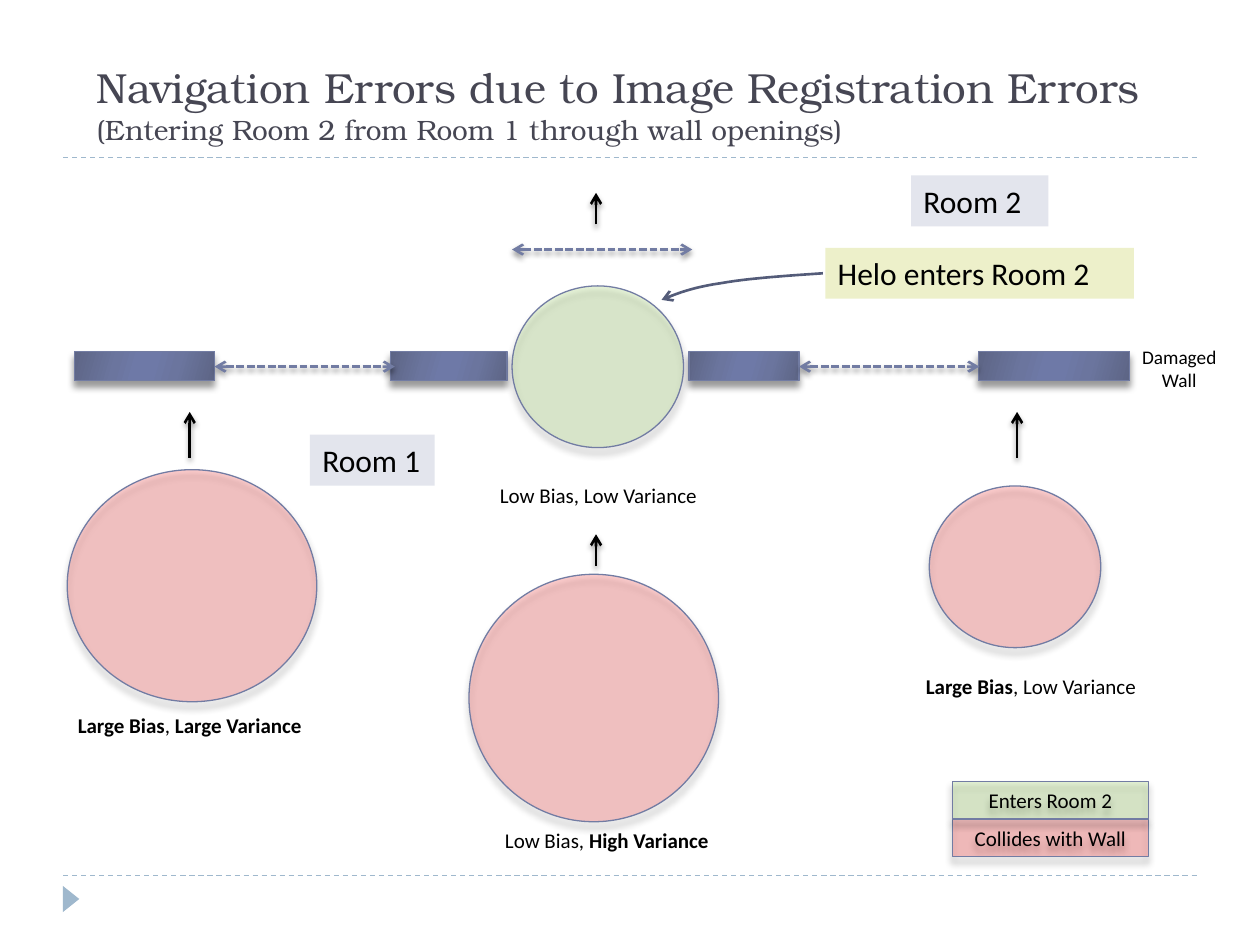
from pptx import Presentation
from pptx.dml.color import RGBColor
from pptx.enum.dml import MSO_LINE
from pptx.enum.shapes import MSO_CONNECTOR, MSO_SHAPE
from pptx.enum.text import MSO_ANCHOR, MSO_AUTO_SIZE, PP_ALIGN
from pptx.oxml import parse_xml
from pptx.oxml.ns import nsdecls
from pptx.util import Pt

STRAIGHT = MSO_CONNECTOR.STRAIGHT
RECTANGLE, OVAL, TRIANGLE = MSO_SHAPE.RECTANGLE, MSO_SHAPE.OVAL, MSO_SHAPE.ISOSCELES_TRIANGLE
DASH, DOTTED = MSO_LINE.DASH, MSO_LINE.SQUARE_DOT
LEFT, CENTER = PP_ALIGN.LEFT, PP_ALIGN.CENTER
TOP, MIDDLE, BOTTOM = MSO_ANCHOR.TOP, MSO_ANCHOR.MIDDLE, MSO_ANCHOR.BOTTOM
FIT, NO_FIT = MSO_AUTO_SIZE.SHAPE_TO_FIT_TEXT, MSO_AUTO_SIZE.NONE

COLORS = {name: RGBColor.from_string(value) for name, value in {
    "title": "464653", "text": "000000", "rule": "9FB8CD", "outline": "727CA3",
    "enters": "92D050", "collides": "FF0000", "room": "E3E5ED",
    "callout": "EDF0CA", "pointer": "545C79"}.items()}
WALL_STOPS = [(0, "5D6585"), (30, "6B759E"), (45, "6E79A7"),
              (55, "6E79A7"), (73, "6B759E"), (100, "5D6585")]


def add_xml(parent, tag, attributes="", content=""):
    parent.append(parse_xml(f'<a:{tag} {nsdecls("a")} {attributes}>{content}</a:{tag}>'))


def outline_with_shadow(shape, color, width, blur, distance):
    shape.line.color.rgb = COLORS[color]
    shape.line.width = Pt(width)
    shadow = (f'<a:outerShdw blurRad="{Pt(blur)}" dist="{Pt(distance)}" dir="5400000" rotWithShape="0">'
              '<a:srgbClr val="000000"><a:alpha val="40000"/></a:srgbClr></a:outerShdw>')
    add_xml(shape._element.spPr, "effectLst", content=shadow)


prs = Presentation()
prs.slide_width, prs.slide_height = Pt(720), Pt(540)
slide = prs.slides.add_slide(prs.slide_layouts[5])
shapes = slide.shapes

for rule_y in (90, 500.4):
    rule = shapes.add_connector(STRAIGHT, Pt(36), Pt(rule_y), Pt(684), Pt(rule_y))
    rule.line.color.rgb = COLORS["rule"]
    rule.line.width = Pt(0.75)
    rule.line.dash_style = DASH
    add_xml(rule._element.spPr, "effectLst")

marker = shapes.add_shape(TRIANGLE, Pt(33.1), Pt(509), Pt(15), Pt(9.4))
marker.rotation = 90
marker.shadow.inherit = False
marker.fill.solid()
marker.fill.fore_color.rgb = COLORS["rule"]
marker.line.fill.background()

title = shapes.title
title.left, title.top, title.width, title.height = Pt(48), Pt(31), Pt(648), Pt(56)
title.text_frame.auto_size = NO_FIT
title.text_frame.vertical_anchor = BOTTOM
heading = title.text_frame.paragraphs[0]
heading.alignment = LEFT
heading.font.name = "TeX Gyre Bonum"
heading.font.color.rgb = COLORS["title"]
main_title = heading.add_run()
main_title.text = "Navigation Errors due to Image Registration Errors"
main_title.font.size = Pt(24)
heading.add_line_break()
subtitle = heading.add_run()
subtitle.text = "(Entering Room 2 from Room 1 through wall openings)"
subtitle.font.size = Pt(16)

gradient = "".join(f'<a:gs pos="{stop * 1000}"><a:srgbClr val="{color}"/></a:gs>'
                   for stop, color in WALL_STOPS)
for left, width in [(42.5, 80), (223.2, 66.5), (393.8, 62.8), (559.2, 86.4)]:
    wall = shapes.add_shape(RECTANGLE, Pt(left), Pt(200.8), Pt(width), Pt(16.8))
    add_xml(wall._element.spPr, "gradFill", 'rotWithShape="1"',
            f'<a:gsLst>{gradient}</a:gsLst><a:lin ang="960000" scaled="0"/>')
    outline_with_shadow(wall, "outline", 0.75, 4, 3.4)

outcomes = [
    (OVAL, 292.6, 163.4, 98, 92.4, "enters", 21, ""),
    (OVAL, 531, 277.7, 98, 92.4, "collides", 19, ""),
    (OVAL, 268, 328.2, 142.6, 141.4, "collides", 19, ""),
    (OVAL, 38.4, 268.4, 142.6, 132.6, "collides", 19, ""),
    (RECTANGLE, 544.2, 468, 112, 21.6, "collides", 21, "Collides with Wall"),
    (RECTANGLE, 544.2, 446.4, 112, 21.6, "enters", 23, "Enters Room 2"),
]
for kind, left, top, width, height, color, opacity, caption in outcomes:
    outcome = shapes.add_shape(kind, Pt(left), Pt(top), Pt(width), Pt(height))
    outcome.fill.solid()
    outcome.fill.fore_color.rgb = COLORS[color]
    add_xml(outcome._element.spPr.find(".//{*}srgbClr"), "alpha", f'val="{opacity * 1000}"')
    outline_with_shadow(outcome, "outline", 0.75, 4, 3.4)
    if caption:
        outcome.text_frame.vertical_anchor = MIDDLE
        entry = outcome.text_frame.paragraphs[0]
        entry.text = caption
        entry.alignment = CENTER
        entry.font.name = "Calibri"
        entry.font.size = Pt(12)
        entry.font.color.rgb = COLORS["text"]

for x, tail_y, tip_y in [(340.6, 128.2, 110.2), (340.6, 323.3, 305.3),
                         (581.2, 261.6, 235.4), (108.4, 261.6, 235.4)]:
    heading_arrow = shapes.add_connector(STRAIGHT, Pt(x), Pt(tail_y), Pt(x), Pt(tip_y))
    outline_with_shadow(heading_arrow, "text", 1.5, 3, 2)
    add_xml(heading_arrow.line._get_or_add_ln(), "tailEnd", 'type="arrow"')

for left, y in [(456.6, 209.5), (122.6, 209.5), (292.6, 142.6)]:
    opening = shapes.add_connector(STRAIGHT, Pt(left), Pt(y), Pt(left + 103), Pt(y))
    outline_with_shadow(opening, "outline", 1.5, 3, 2)
    opening.line.dash_style = DOTTED
    for end in ("headEnd", "tailEnd"):
        add_xml(opening.line._get_or_add_ln(), end, 'type="arrow"')

labels = [
    (278.6, 272.2, 128.2, 21.6, 12, LEFT, [[("Low Bias, Low Variance", False)]]),
    (522, 381.6, 134.6, 21.6, 12, LEFT, [[("Large Bias", True), (", Low Variance", False)]]),
    (281.5, 469.4, 132.5, 21.6, 12, LEFT, [[("Low Bias, ", False), ("High Variance", True)]]),
    (37.4, 403.9, 144, 21.6, 12, LEFT,
     [[("Large Bias", True), (", ", False), ("Large Variance", True)]]),
    (645.1, 193.7, 57.6, 33.8, 11, CENTER, [[("Damaged", False)], [("Wall", False)]]),
]
for left, top, width, height, size, alignment, lines in labels:
    label = shapes.add_textbox(Pt(left), Pt(top), Pt(width), Pt(height)).text_frame
    label.word_wrap = False
    label.auto_size = FIT
    for index, phrases in enumerate(lines):
        line = label.add_paragraph() if index else label.paragraphs[0]
        line.alignment = alignment
        line.font.name = "Calibri"
        line.font.size = Pt(size)
        line.font.color.rgb = COLORS["text"]
        for words, bold in phrases:
            phrase = line.add_run()
            phrase.text = words
            phrase.font.bold = bold

for left, top, width, color, words in [
        (177.1, 248.4, 71.3, "room", "Room 1"),
        (520.6, 100.2, 78.5, "room", "Room 2"),
        (471.6, 141.6, 176.4, "callout", "Helo enters Room 2")]:
    sign = shapes.add_textbox(Pt(left), Pt(top), Pt(width), Pt(29.1))
    sign.fill.solid()
    sign.fill.fore_color.rgb = COLORS[color]
    sign.text_frame.word_wrap = True
    sign.text_frame.auto_size = FIT
    sign.text_frame.vertical_anchor = TOP
    name = sign.text_frame.paragraphs[0]
    name.text = words
    name.font.name = "Calibri"
    name.font.size = Pt(18)
    name.font.color.rgb = COLORS["text"]

curves = [[(378, 171.4), (386.6, 167.8), (396, 164.2), (411.1, 162)],
          [(411.1, 162), (427, 159.1), (448.6, 157.7), (470.2, 156.2)]]
steps = [step / 12 for step in range(1, 13)]
curve_points = [
    tuple(Pt((1 - t) ** 3 * a + 3 * (1 - t) ** 2 * t * b + 3 * (1 - t) * t ** 2 * c + t ** 3 * d)
          for a, b, c, d in zip(*curve))
    for curve in curves for t in steps]
builder = shapes.build_freeform(Pt(378), Pt(171.4))
builder.add_line_segments(curve_points, close=False)
pointer = builder.convert_to_shape()
pointer.shadow.inherit = False
pointer.fill.background()
pointer.line.color.rgb = COLORS["pointer"]
pointer.line.width = Pt(1.5)
add_xml(pointer.line._get_or_add_ln(), "headEnd", 'type="arrow"')

prs.save("out.pptx")
